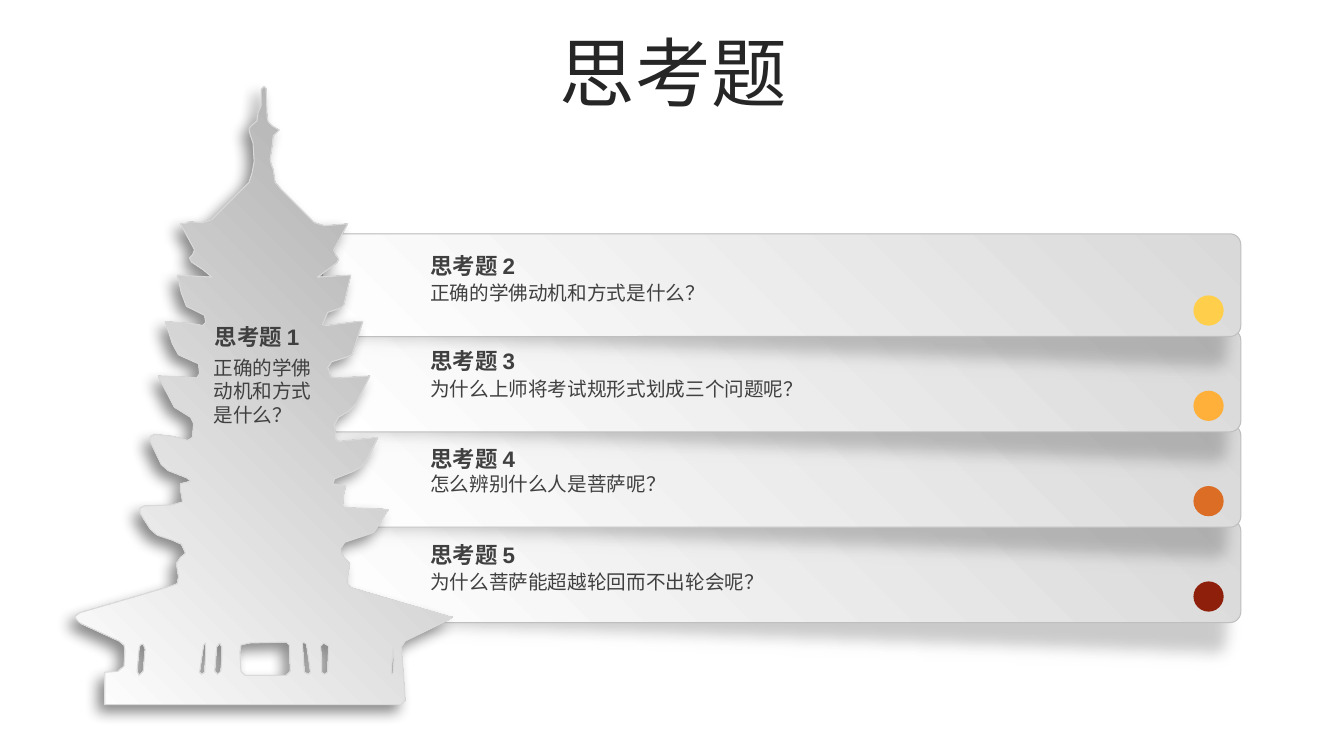
import copy

from lxml import etree
from pptx import Presentation
from pptx import util as u
from pptx.dml.color import RGBColor
from pptx.enum import shapes, text
from pptx.oxml.ns import qn

# Pagoda contours in hundredths of an inch: outer edge in four runs, then the openings
RIGHT_ROOFS = """447,612 348,583 344,578 347,559 344,556 338,549 338,544 342,538 366,530
    371,528 385,506 379,505 352,504 340,503 341,491 343,482 334,481 330,480
    332,475 350,468 359,463 365,454 375,434 336,438 333,436 332,421 336,414
    346,408 353,401 359,389 367,373 336,375 328,374 326,366 325,365 329,359
    345,354 349,352 360,319 355,319 324,323 320,322 325,310 337,306 341,303"""
SPIRE = """348,273 315,275 334,261 336,257 333,253 331,248 345,222 322,224 312,221
    279,188 273,181 271,168 269,163 268,158 270,145 271,135 277,129 270,125
    266,121 265,116 264,88 262,86 259,89 259,105 256,112 255,120 249,125
    247,128 248,133 251,142 252,158 252,161 250,172 247,181 210,218 201,221
    188,220 184,222 179,222 193,248 191,253 188,256 190,260 202,268 210,275"""
LEFT_ROOFS = """176,273 180,291 185,304 197,310 203,313 204,320 201,323 190,321 164,319
    171,341 177,352 188,357 197,361 198,371 195,375 182,374 157,373 164,387
    173,404 189,414 192,420 191,434 186,437 172,433 154,431 149,433 149,438
    160,461 167,467 185,474 189,477 187,478 179,480 179,488 180,490 181,498
    171,501 143,502 139,504 139,509 142,514 149,525 156,531 171,536 180,540"""
BASE = """184,549 179,553 175,559 177,572 176,579 171,581 141,590 79,608 74,612
    78,617 81,619 118,636 123,640 124,646 123,661 117,666 104,667 104,699
    395,699 398,699 402,695 400,666 398,642 402,636 445,615 449,612"""
PAGODA = [
    " ".join([RIGHT_ROOFS, SPIRE, LEFT_ROOFS, BASE]),
    "144,644 142,666 138,670 136,666 138,644 139,640 142,639",
    "204,649 203,667 200,669 198,667 202,640 204,638",
    "220,654 219,666 216,669 213,666 215,642 218,638 220,642",
    "284,670 243,670 239,666 238,647 239,640 247,638 284,637 287,640 288,666",
    "306,669 302,667 300,639 301,637 304,639 306,652 308,667",
    "325,667 322,669 319,667 319,653 318,641 321,638 326,641",
    "390,668 389,669 388,668 390,642 391,655",
]


def color(value):
    return RGBColor.from_string(value)


class Deck:
    font = "Arial"
    dark = "404040"

    def __init__(self):
        self.presentation = Presentation()
        self.presentation.slide_width = u.Pt(960)
        self.presentation.slide_height = u.Pt(540)
        self.slide = self.presentation.slides.add_slide(self.presentation.slide_layouts[6])

    def shape(self, kind, left, top, width, height):
        shape = self.slide.shapes.add_shape(
            kind, u.Pt(left), u.Pt(top), u.Pt(width), u.Pt(height))
        shape.shadow.inherit = False
        return shape

    def gradient(self, shape, start, edge):
        """Fade fill and edge to white, from top right to bottom left."""
        shape.fill.gradient()
        shape.fill.gradient_angle = 225
        for stop, value in zip(shape.fill.gradient_stops, (start, "FFFFFF")):
            stop.color.rgb = color(value)
        shape.line.width = u.Pt(0.75)
        properties = shape.element.spPr
        edge_fill = copy.deepcopy(properties.find(qn("a:gradFill")))
        edge_fill.find(".//" + qn("a:srgbClr")).set("val", edge)
        properties.find(qn("a:ln")).insert(0, edge_fill)

    def shadow(self, shape, opacity, blur, distance):
        effects = shape.element.spPr.find(qn("a:effectLst"))
        outer = etree.SubElement(
            effects, qn("a:outerShdw"), blurRad=str(u.Pt(blur)), dist=str(u.Pt(distance)),
            dir=str(135 * 60000), algn="tr", rotWithShape="0")
        black = etree.SubElement(outer, qn("a:srgbClr"), val="000000")
        etree.SubElement(black, qn("a:alpha"), val=str(opacity * 1000))
        return effects

    def bar(self, top):
        # Tilted soft shade behind the bar
        rounded = shapes.MSO_SHAPE.ROUNDED_RECTANGLE
        shade = self.shape(rounded, 221, top + 18, 664.6, 73.4)
        shade.adjustments[0] = 0.106
        shade.rotation = 2
        shade.fill.solid()
        shade.fill.fore_color.rgb = color("595959")
        fill_color = shade.element.spPr.find(".//" + qn("a:srgbClr"))
        etree.SubElement(fill_color, qn("a:alpha"), val="23000")
        shade.line.fill.background()
        effects = self.shadow(shade, 33, 10, 3)
        etree.SubElement(effects, qn("a:softEdge"), rad=str(u.Pt(10)))
        # Bar itself
        bar = self.shape(rounded, 230.4, top, 655.9, 73.4)
        bar.adjustments[0] = 0.106
        self.gradient(bar, "D9D9D9", "BFBFBF")

    def dot(self, top, value):
        dot = self.shape(shapes.MSO_SHAPE.OVAL, 852.5, top, 21.6, 21.6)
        dot.fill.solid()
        dot.fill.fore_color.rgb = color(value)
        dot.line.fill.background()

    def outline(self, contours):
        paths = [[tuple(map(int, pair.split(","))) for pair in contour.split()]
                 for contour in contours]
        builder = self.slide.shapes.build_freeform(*paths[0][0], scale=u.Pt(0.72))
        for number, points in enumerate(paths):
            if number:
                builder.move_to(*points[0])
            builder.add_line_segments(points[1:], close=True)
        shape = builder.convert_to_shape()
        shape.shadow.inherit = False
        self.gradient(shape, "A6A6A6", "D9D9D9")
        self.shadow(shape, 45, 10, 7)

    def label(self, words, left, top, width, height, size, value=dark, bold=None,
              centered=False, inset=7.2, grow=True):
        box = self.slide.shapes.add_textbox(u.Pt(left), u.Pt(top), u.Pt(width), u.Pt(height))
        frame = box.text_frame
        frame.word_wrap = True
        frame.margin_left = frame.margin_right = u.Pt(inset)
        if grow:
            frame.auto_size = text.MSO_AUTO_SIZE.SHAPE_TO_FIT_TEXT
        else:
            frame.vertical_anchor = text.MSO_ANCHOR.MIDDLE
        paragraph = frame.paragraphs[0]
        if centered:
            paragraph.alignment = text.PP_ALIGN.CENTER
        run = paragraph.add_run()
        run.text = words
        run.font.name = self.font
        run.font.size = u.Pt(size)
        run.font.bold = bold
        run.font.color.rgb = color(value)
        return paragraph


def main():
    deck = Deck()
    # Slide title
    title = deck.label("思考题", 25.2, 26.6, 911.5, 56.9, 54, "262626",
                       centered=True, grow=False)
    title.line_spacing = 0.9

    # Question bars, lowest at the back
    first_bar, pitch = 167, 68.1
    for row in reversed(range(4)):
        deck.bar(first_bar + row * pitch)

    # Dots and question texts: dot colour, heading top, question top, question
    questions = [
        ("FFCE4B", 176.4, 197.3, "正确的学佛动机和方式是什么？"),
        ("FFB03B", 244.1, 265.7, "为什么上师将考试规形式划成三个问题呢？"),
        ("DB6D25", 314.6, 333.4, "怎么辨别什么人是菩萨呢？"),
        ("8E1F0B", 383, 403.9, "为什么菩萨能超越轮回而不出轮会呢？"),
    ]
    for row, (dot_color, heading_top, question_top, question) in enumerate(questions):
        deck.dot(first_bar + 44 + row * pitch, dot_color)
        deck.label(question, 300.2, question_top, 538.6, 24.5, 14)
        deck.label(f"思考题 {row + 2}", 298.8, heading_top, 541.4, 26.6, 16,
                   bold=True, inset=8.64)

    # Pagoda with the first question
    deck.outline(PAGODA)
    deck.label(questions[0][-1], 145.4, 250.6, 90, 58.3, 14)
    deck.label("思考题 1", 131.8, 227.5, 103.7, 26.6, 16,
               bold=True, centered=True, inset=8.64)

    deck.presentation.save("out.pptx")


if __name__ == "__main__":
    main()
